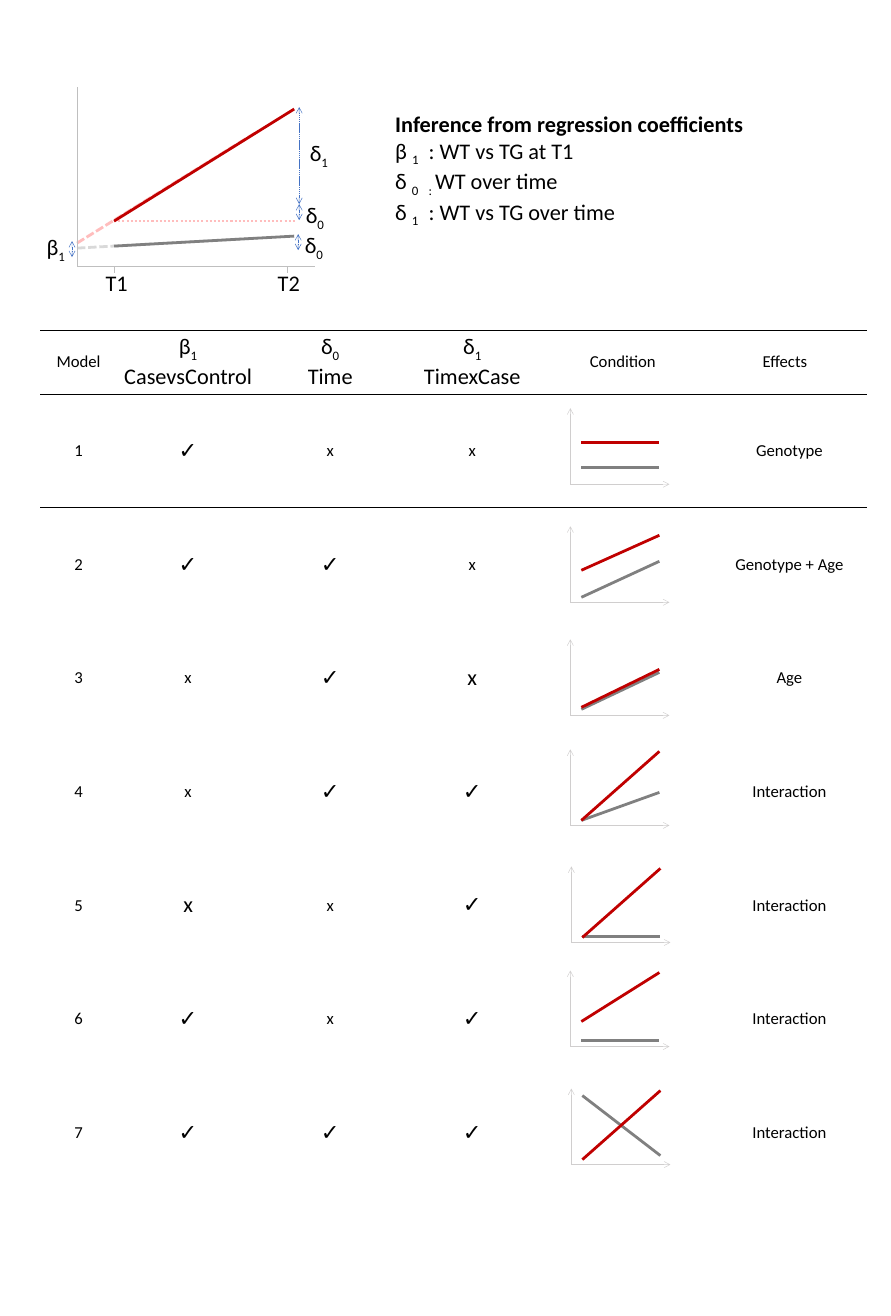
from lxml.etree import SubElement
from pptx import Presentation
from pptx.dml.color import RGBColor
from pptx.enum.dml import MSO_LINE
from pptx.enum.shapes import MSO_CONNECTOR
from pptx.enum.text import MSO_ANCHOR, MSO_AUTO_SIZE, PP_ALIGN
from pptx.oxml.ns import qn
from pptx.util import Inches, Pt

COLOURS = {"text": "000000", "case": "C00000", "control": "808080",
           "case_pale": "FFBDBD", "control_pale": "D9D9D9",
           "axis": "BFBFBF", "small_axis": "D0CECE", "gap": "4472C4"}
NO_STYLE = "{2D5ABB26-0587-4C30-8999-92F81FD0307C}"


def px(pixels):
    return round(pixels * 914400 / 66.8)


class Canvas:
    font = "Calibri"

    def __init__(self, page):
        self.page = page

    def add_text(self, paragraph, text, size=24, bold=False, align=PP_ALIGN.LEFT):
        """Fill a paragraph; pieces between underscores are subscripts."""
        paragraph.alignment = align
        for index, piece in enumerate(text.split("_")):
            if not piece:
                continue
            span = paragraph.add_run()
            span.text = piece
            span.font.name, span.font.size, span.font.bold = self.font, Pt(size), bold
            span.font.color.rgb = RGBColor.from_string(COLOURS["text"])
            if index % 2:
                span.font._element.set("baseline", "-25000")

    def label(self, left, top, width, text):
        box = self.page.shapes.add_textbox(px(left), px(top), px(width), px(33))
        box.text_frame.word_wrap = True
        self.add_text(box.text_frame.paragraphs[0], text)

    def placeholder(self, box, left, top, width, height, lines, bold=False):
        box.left, box.top, box.width, box.height = map(px, (left, top, width, height))
        frame = box.text_frame
        frame.word_wrap, frame.auto_size = True, MSO_AUTO_SIZE.NONE
        frame.vertical_anchor = MSO_ANCHOR.TOP
        frame.margin_left = frame.margin_right = frame.margin_top = frame.margin_bottom = 0
        frame.text = "\n" * (len(lines) - 1)
        for paragraph, text in zip(frame.paragraphs, lines):
            self.add_text(paragraph, text, bold=bold)
            paragraph.space_before = Pt(0)
            settings = paragraph._p.get_or_add_pPr()
            settings.set("marL", "0")
            settings.set("indent", "0")
            SubElement(settings, qn("a:buNone"))
            stops = SubElement(settings, qn("a:tabLst"))
            SubElement(stops, qn("a:tab"), pos=str(Inches(0.5)), algn="l")

    def line(self, start, end, colour, width=3, dash=None, arrows=()):
        link = self.page.shapes.add_connector(
            MSO_CONNECTOR.STRAIGHT, *map(px, (*start, *end)))
        link.line.color.rgb = RGBColor.from_string(COLOURS[colour])
        link.line.width = Pt(width)
        if dash:
            link.line.dash_style = dash
        for name in arrows:
            SubElement(link.line._get_or_add_ln(), qn(f"a:{name}"), type="arrow")
        SubElement(link._element.spPr, qn("a:effectLst"))

    def border(self, cell, sides):
        settings = cell._tc.get_or_add_tcPr()
        for position, side in enumerate(sides):
            edge = SubElement(settings, qn(f"a:ln{side}"), w=str(Pt(1)))
            fill = SubElement(edge, qn("a:solidFill"))
            SubElement(fill, qn("a:srgbClr"), val=COLOURS["text"])
            settings.insert(position, edge)

    def table(self, left, top, widths, header_height, body_height, rows, large):
        count = len(rows)
        frame = self.page.shapes.add_table(
            count, len(widths), px(left), px(top),
            px(sum(widths)), px(header_height + body_height))
        grid = frame.table
        grid.first_row = grid.horz_banding = False
        grid._tbl.tblPr.find(qn("a:tableStyleId")).text = NO_STYLE
        for column, width in zip(grid.columns, widths):
            column.width = px(width)
        for number, row in enumerate(grid.rows):
            row.height = px(body_height / (count - 1)) if number else px(header_height)
            first = 4 if number else 5
            grid.cell(number, first).merge(grid.cell(number, first + 1))
            for position, text in enumerate(rows[number]):
                cell = grid.cell(number, position)
                cell.fill.background()
                cell.vertical_anchor = MSO_ANCHOR.MIDDLE
                big = "_" in text or text == "✓" or (number, position) in large
                lines = text.split("\n")
                cell.text_frame.text = "\n" * (len(lines) - 1)
                for paragraph, content in zip(cell.text_frame.paragraphs, lines):
                    self.add_text(paragraph, content, 24 if big else 18,
                                  align=PP_ALIGN.CENTER)
                if number < 2:
                    self.border(cell, "T" if number else "TB")

    def condition(self, left, base, control, case):
        """Small plot; each series gives its start and end height."""
        origin = (left, base)
        for tip in ((left, base - 76), (left + 99, base)):
            self.line(tip, origin, "small_axis", 0.5, arrows=("headEnd",))
        for colour, (first, last) in (("control", control), ("case", case)):
            self.line((left + 11, base - first), (left + 89, base - last), colour)


deck = Presentation()
deck.slide_width, deck.slide_height = Inches(13.33), Inches(19.69)
page = deck.slides.add_slide(deck.slide_layouts[1])
canvas = Canvas(page)

# Explanation of the coefficients
canvas.placeholder(page.shapes.title, 395, 110, 460, 27,
                   ["Inference from regression coefficients"], bold=True)
canvas.placeholder(page.placeholders[1], 395, 137, 460, 100,
                   ["β _1\t_: WT vs TG at T1",
                    "δ _0\t: _WT over time",
                    "δ _1\t_: WT vs TG over time"])

# Regression plot: extrapolations, axes, ticks, fitted lines
canvas.line((114, 221), (295, 221), "case_pale", 2.25, MSO_LINE.ROUND_DOT)
canvas.line((77, 248), (257, 238), "control_pale", dash=MSO_LINE.SQUARE_DOT)
canvas.line((77, 243), (258, 131), "case_pale", dash=MSO_LINE.SQUARE_DOT)
canvas.line((77, 87), (77, 266), "axis", 0.5)
canvas.line((77, 266), (315, 266), "axis", 0.5)
for name, tick, left in (("T1", 114, 99), ("T2", 287, 271)):
    canvas.line((tick, 266), (tick, 273), "axis", 0.5)
    canvas.label(left, 266, 65, name)
canvas.line((114, 246), (294, 236), "control")
canvas.line((114, 221), (294, 109), "case")

# Coefficient gaps: arrow x, top, bottom, then label and its place
for x, top, bottom, name, left, label_top in (
        (72, 241, 257, "β_1", 40, 230), (299, 107, 204, "δ_1", 303, 136),
        (299, 204, 220, "δ_0", 299, 198), (298, 234, 250, "δ_0", 298, 228)):
    canvas.line((x, top), (x, bottom), "gap", 0.5, MSO_LINE.SQUARE_DOT,
                ("headEnd", "tailEnd"))
    canvas.label(left, label_top, 39, name)

# Table of models
EFFECTS = ["Genotype", "Genotype + Age", "Age"] + ["Interaction"] * 4
MARKS = ["✓xx", "✓✓x", "x✓x", "x✓✓", "xx✓", "✓x✓", "✓✓✓"]
rows = [["Model", "β_1_\nCasevsControl", "δ_0_\nTime", "δ_1_\nTimexCase",
         "Condition", "Effects", ""]]
for number, (marks, effect) in enumerate(zip(MARKS, EFFECTS), 1):
    rows.append([str(number), *marks, "", "", effect])
canvas.table(40, 330, [77, 142, 142, 142, 159, 9, 156], 61, 795, rows,
             large={(3, 3), (5, 1)})

# Condition plots
for plot in ((570, 484, (17, 17), (42, 42)), (570, 602, (5, 41), (32, 67)),
             (570, 715, (6, 43), (8, 46)), (570, 825, (5, 33), (5, 74)),
             (571, 942, (6, 6), (5, 74)), (570, 1046, (6, 6), (25, 74)),
             (571, 1164, (69, 9), (5, 74))):
    canvas.condition(*plot)

deck.save("out.pptx")
